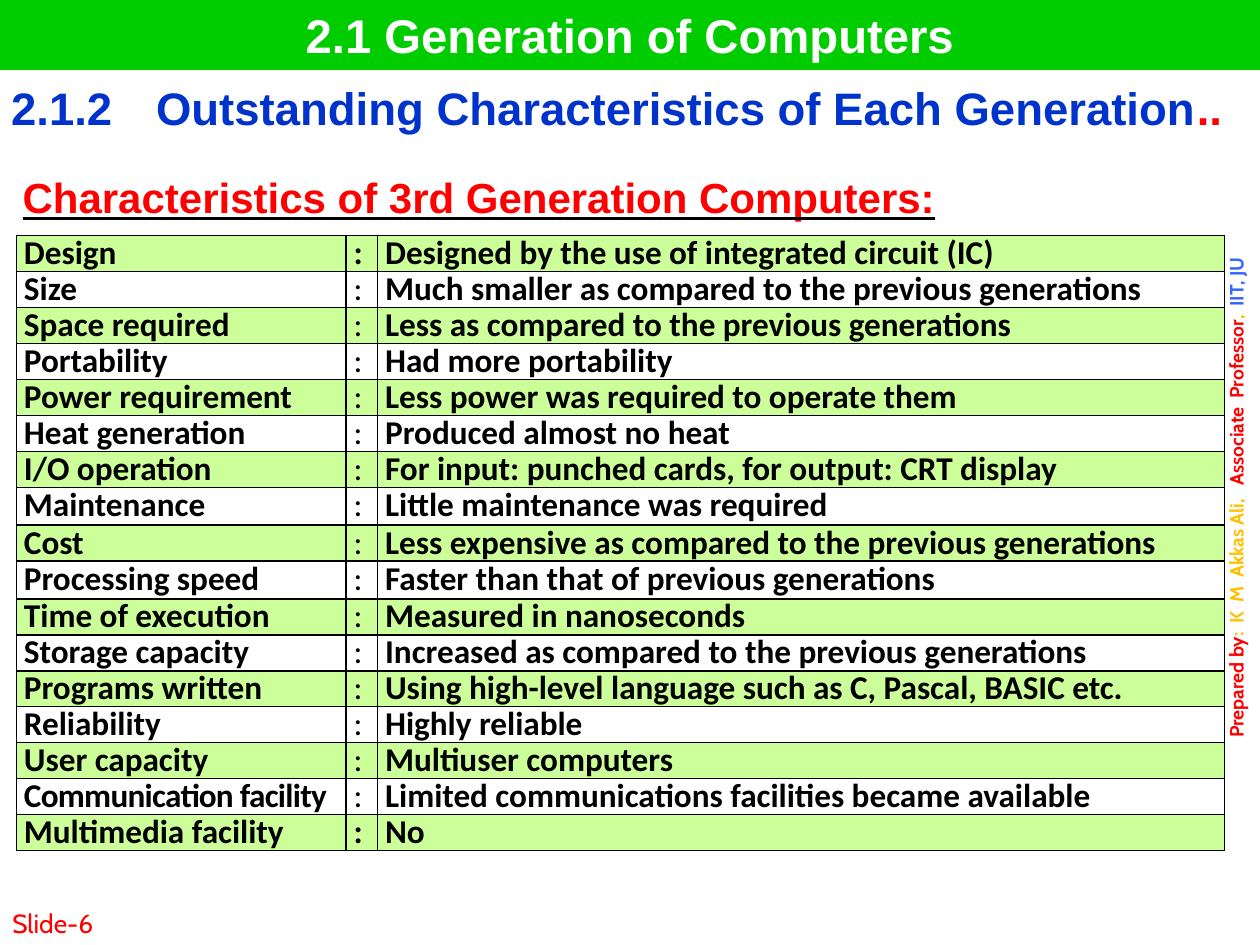
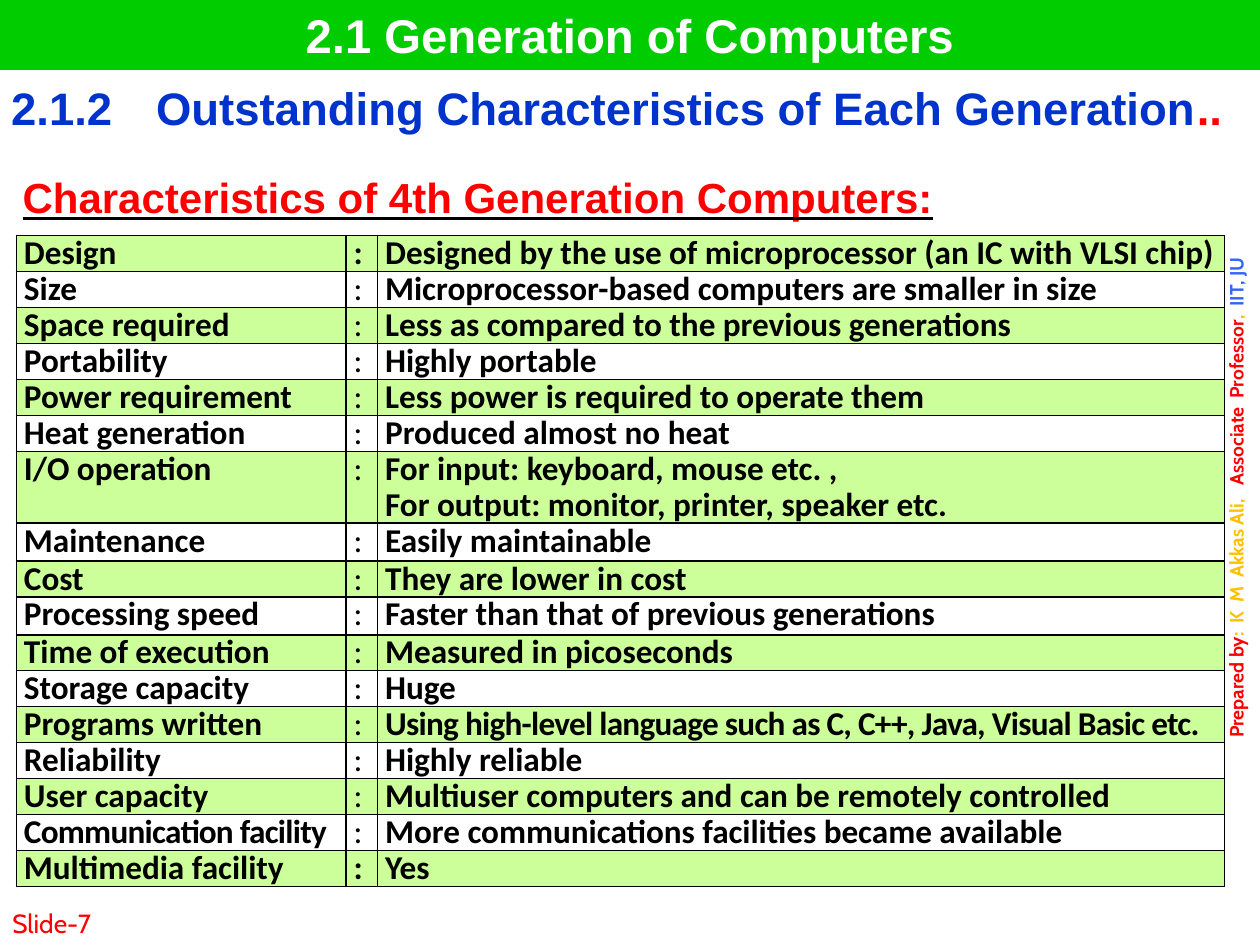
"""Build two slides comparing third and fourth generation computers."""
from lxml import etree
from pptx import Presentation
from pptx.dml.color import RGBColor
from pptx.enum.text import MSO_ANCHOR, MSO_AUTO_SIZE, PP_ALIGN
from pptx.oxml.ns import qn
from pptx.util import Pt

CENTER, JUSTIFY = PP_ALIGN.CENTER, PP_ALIGN.JUSTIFY
MIDDLE, BOTTOM = MSO_ANCHOR.MIDDLE, MSO_ANCHOR.BOTTOM
NO_AUTOFIT = MSO_AUTO_SIZE.NONE
PLAIN_STYLE = "{2D5ABB26-0587-4C30-8999-92F81FD0307C}"
COLORS = {
    "band": "00CC00", "stripe": "CCFF99", "white": "FFFFFF", "black": "000000",
    "section": "0033CC", "red": "FF0000", "amber": "FFC000", "blue": "3366FF",
}
ROW_HEIGHT, TALL_ROW_HEIGHT = 20.5, 21.6
TIGHT = -0.4

aspects = [
    "Design", "Size", "Space required", "Portability", "Power requirement",
    "Heat generation", "I/O operation", "Maintenance", "Cost",
    "Processing speed", "Time of execution", "Storage capacity",
    "Programs written", "Reliability", "User capacity",
    "Communication facility", "Multimedia facility",
]
tall_aspects = {"Maintenance", "Processing speed"}
tight_texts = {
    "Communication facility",
    "Using high-level language such as C, C++, Java, Visual Basic etc.",
}
generations = [
    (6, "3rd", [
        "Designed by the use of integrated circuit (IC)",
        "Much smaller as compared to the previous generations",
        "Less as compared to the previous generations",
        "Had more portability",
        "Less power was required to operate them",
        "Produced almost no heat",
        "For input: punched cards, for output: CRT display",
        "Little maintenance was required",
        "Less expensive as compared to the previous generations",
        "Faster than that of previous generations",
        "Measured in nanoseconds",
        "Increased as compared to the previous generations",
        "Using high-level language such as C, Pascal, BASIC etc.",
        "Highly reliable",
        "Multiuser computers",
        "Limited communications facilities became available",
        "No",
    ]),
    (7, "4th", [
        "Designed by the use of microprocessor (an IC with VLSI chip)",
        "Microprocessor-based computers are smaller in size",
        "Less as compared to the previous generations",
        "Highly portable",
        "Less power is required to operate them",
        "Produced almost no heat",
        "For input: keyboard, mouse etc. ,\nFor output: monitor, printer, speaker etc.",
        "Easily maintainable",
        "They are lower in cost",
        "Faster than that of previous generations",
        "Measured in picoseconds",
        "Huge",
        "Using high-level language such as C, C++, Java, Visual Basic etc.",
        "Highly reliable",
        "Multiuser computers and can be remotely controlled",
        "More communications facilities became available",
        "Yes",
    ]),
]
credit = [
    ("Prepared by", "red", None), (":", "amber", 2.5), ("K", "amber", 2.5),
    ("M", "amber", 2.5), ("Akkas Ali,", "amber", 5),
    ("Associate", "red", 2.5), ("Professor", "red", None),
    (",", "amber", 2.5), ("IIT, JU", "blue", None),
]


def write(paragraph, text, font="Arial", size=26, color="black", bold=True,
          underline=None, spacing=0, align=None, line_spacing=None):
    run = paragraph.add_run()
    run.text = text
    run.font.name, run.font.size = font, Pt(size)
    run.font.bold, run.font.underline = bold, underline
    run.font.color.rgb = RGBColor.from_string(COLORS[color])
    if spacing:
        run.font._element.set("spc", str(round(spacing * 100)))
    if align is not None:
        paragraph.alignment = align
    if line_spacing:
        paragraph.line_spacing = line_spacing
    return run


def add_plain_table(slide, left, top, widths, heights, margin):
    table = slide.shapes.add_table(
        len(heights), len(widths), Pt(left), Pt(top),
        Pt(sum(widths)), Pt(sum(heights))).table
    table.first_row = table.horz_banding = False
    table._tbl.tblPr.find(qn("a:tableStyleId")).text = PLAIN_STYLE
    for column, width in zip(table.columns, widths):
        column.width = Pt(width)
    for row, height in zip(table.rows, heights):
        row.height = Pt(height)
    for cell in table.iter_cells():
        cell.margin_left = cell.margin_right = Pt(margin)
        cell.margin_top = cell.margin_bottom = 0
        cell.fill.background()
    return table


prs = Presentation()
prs.slide_width, prs.slide_height = Pt(720), Pt(540)

for number, ordinal, traits in generations:
    slide = prs.slides.add_slide(prs.slide_layouts[5])

    band = slide.shapes.title
    band.left, band.top, band.width, band.height = 0, 0, Pt(720), Pt(40)
    band.fill.solid()
    band.fill.fore_color.rgb = RGBColor.from_string(COLORS["band"])
    band.text_frame.auto_size = NO_AUTOFIT
    band.text_frame.vertical_anchor = MIDDLE
    write(band.text_frame.paragraphs[0], "2.1 Generation of Computers",
          size=27, color="white", align=CENTER)

    author = slide.shapes.add_textbox(Pt(696.2), Pt(35.3), Pt(28), Pt(498.2)).text_frame
    author.word_wrap = True
    author._txBody.bodyPr.set("vert", "vert270")
    for words, color, gap in credit:
        write(author.paragraphs[0], words, font="Cabin", size=11, color=color, align=CENTER)
        if gap:
            write(author.paragraphs[0], " ", font="Cabin", size=11, color=color, spacing=gap)

    footer = slide.shapes.add_textbox(0, Pt(504), Pt(150), Pt(36)).text_frame
    footer.word_wrap = True
    footer.vertical_anchor = BOTTOM
    write(footer.paragraphs[0], f"Slide-{number}", font="Cabin", size=15,
          color="red", bold=False)

    heights = [
        TALL_ROW_HEIGHT if aspect in tall_aspects
        else ROW_HEIGHT * len(trait.split("\n"))
        for aspect, trait in zip(aspects, traits)]
    comparison = add_plain_table(slide, 9.4, 134.6, [188.4, 18, 483.8], heights, 4.3)
    for row, (aspect, trait) in enumerate(zip(aspects, traits)):
        for column, text in enumerate((aspect, ":", trait)):
            cell = comparison.cell(row, column)
            cell_properties = cell._tc.get_or_add_tcPr()
            for position, side in enumerate(("lnL", "lnR", "lnT", "lnB")):
                border = etree.Element(qn(f"a:{side}"), w=str(Pt(1)))
                border_fill = etree.SubElement(border, qn("a:solidFill"))
                etree.SubElement(border_fill, qn("a:srgbClr"), val=COLORS["black"])
                cell_properties.insert(position, border)
            if row % 2 == 0:
                cell.fill.solid()
                cell.fill.fore_color.rgb = RGBColor.from_string(COLORS["stripe"])
            for index, line in enumerate(text.split("\n")):
                frame = cell.text_frame
                paragraph = frame.add_paragraph() if index else frame.paragraphs[0]
                write(paragraph, line, font="Calibri", size=19,
                      bold=column != 1 or row in (0, len(aspects) - 1),
                      spacing=TIGHT if text in tight_texts else 0,
                      align=JUSTIFY, line_spacing=0.9)

    section = add_plain_table(slide, 1.4, 48.2, [82.8, 624], [30], 5)
    write(section.cell(0, 0).text_frame.paragraphs[0], "2.1.2",
          color="section", align=JUSTIFY)
    section_name = section.cell(0, 1).text_frame.paragraphs[0]
    write(section_name, "Outstanding Characteristics of Each Generation",
          color="section", align=JUSTIFY)
    write(section_name, "..", color="red")

    heading = slide.shapes.add_textbox(Pt(5.8), Pt(92.2), Pt(660), Pt(41.8)).text_frame
    heading.word_wrap = True
    heading.margin_top = Pt(6)
    heading_run = write(
        heading.paragraphs[0], f"Characteristics of {ordinal} Generation Computers:",
        size=24, color="red", underline=True, align=JUSTIFY)
    underline_fill = etree.Element(qn("a:uFill"))
    solid = etree.SubElement(underline_fill, qn("a:solidFill"))
    etree.SubElement(solid, qn("a:srgbClr"), val=COLORS["black"])
    heading_run.font._element.find(qn("a:latin")).addprevious(underline_fill)

prs.save("out.pptx")
